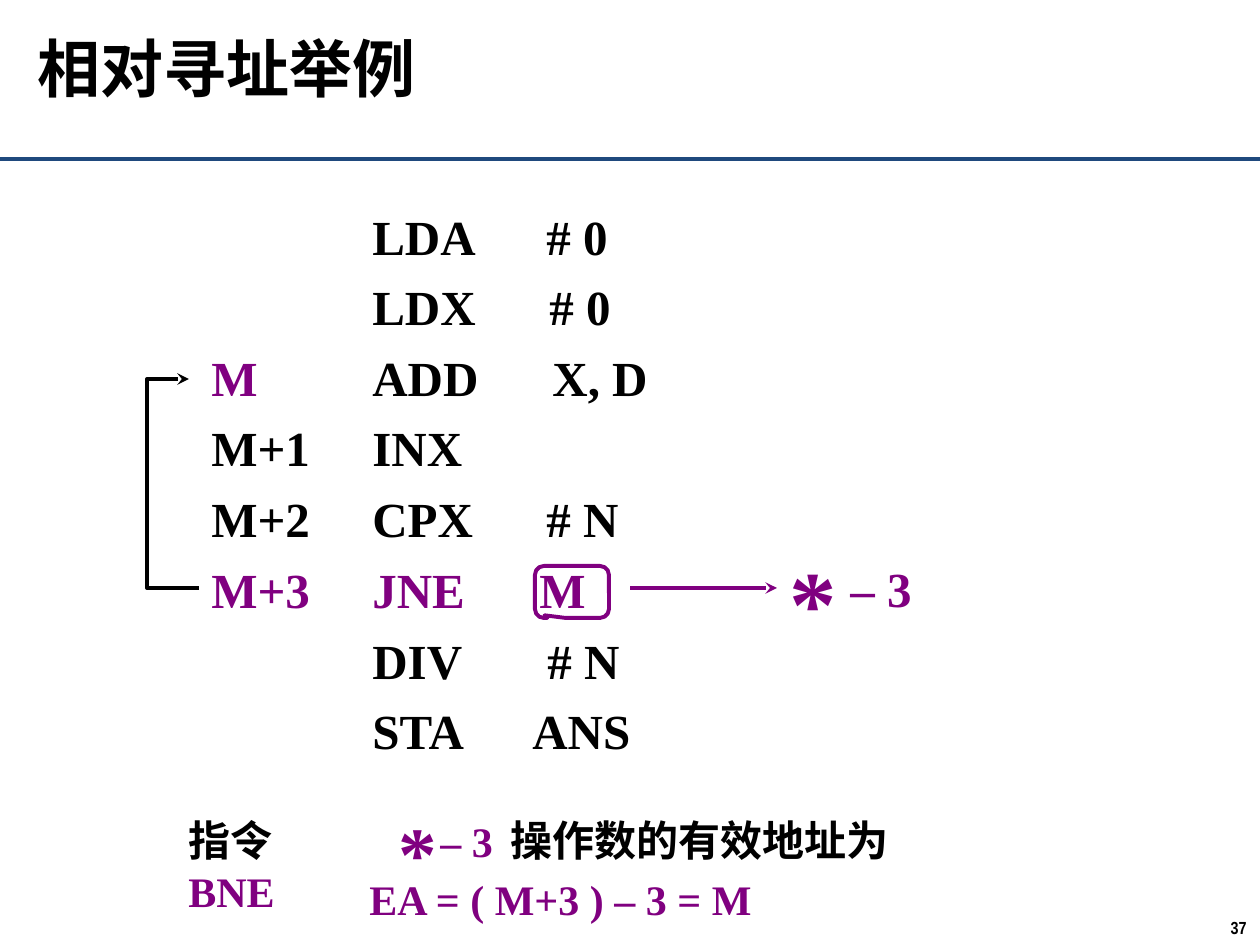
from lxml.etree import SubElement
from pptx import Presentation
from pptx.dml.color import RGBColor
from pptx.enum.shapes import MSO_CONNECTOR as Connector, MSO_SHAPE as Shape
from pptx.enum.text import MSO_ANCHOR as Anchor, MSO_AUTO_SIZE as AutoSize, PP_ALIGN as Align
from pptx.oxml.ns import qn
from pptx.util import Pt

SCALE = 914400 / 126
FONT = "Times New Roman"
BLACK = RGBColor(0x00, 0x00, 0x00)
PURPLE = RGBColor(0x80, 0x00, 0x80)
NAVY = RGBColor(0x1F, 0x49, 0x7D)
CODE_LEFT, CODE_WIDTH, LABEL_LEFT, INSET = 360, 310, 199, 13
PROGRAM = [
    ("", "LDA", "# 0", 547, BLACK, BLACK),
    ("", "LDX", "# 0", 550, BLACK, BLACK),
    ("M", "ADD", "X, D", 553, PURPLE, BLACK),
    ("M+1", "INX", "", 0, BLACK, BLACK),
    ("M+2", "CPX", "# N", 547, BLACK, BLACK),
    ("M+3", "JNE", "M", 540, PURPLE, PURPLE),
    ("", "DIV", "# N", 548, BLACK, BLACK),
    ("", "STA", "ANS", 533, BLACK, BLACK),
]


def px(length):
    """Turn pixels into EMU."""
    return round(length * SCALE)


def add_span(para, text, size, color, font=FONT):
    """Append one bold run to a paragraph."""
    span = para.add_run()
    span.text = text
    span.font.name = font
    span.font.size = Pt(size)
    span.font.bold = True
    span.font.color.rgb = color


def add_text(page, area, spans, size, font=FONT, wrap=True, top_inset=6):
    """Add a text box of coloured runs and return its paragraph."""
    box = page.shapes.add_textbox(*map(px, area))
    frame = box.text_frame
    frame.word_wrap = wrap
    frame.margin_top = px(top_inset)
    para = frame.paragraphs[0]
    for text, color in spans:
        add_span(para, text, size, color, font)
    return para


def add_tab(para, position):
    """Set one left tab stop on a paragraph."""
    tabs = SubElement(para._p.get_or_add_pPr(), qn("a:tabLst"))
    SubElement(tabs, qn("a:tab"), pos=str(px(position)), algn="l")


def style_line(shape, color, width, arrow=False):
    """Colour a line and optionally end it with a stealth arrowhead."""
    shape.line.color.rgb = color
    shape.line.width = Pt(width)
    if arrow:
        SubElement(shape.line._get_or_add_ln(), qn("a:tailEnd"), type="stealth")


def add_line(page, start, end, color, width, arrow=False):
    """Add a straight connector without shadow."""
    line = page.shapes.add_connector(Connector.STRAIGHT, *map(px, start + end))
    style_line(line, color, width, arrow)
    SubElement(line._element.spPr, qn("a:effectLst"))


def add_title(page, text):
    """Place and format the title placeholder."""
    title = page.shapes.title
    title.left, title.top, title.width, title.height = map(px, (25, 0, 1201, 135))
    frame = title.text_frame
    frame.auto_size = AutoSize.NONE
    frame.vertical_anchor = Anchor.MIDDLE
    para = frame.paragraphs[0]
    para.alignment = Align.LEFT
    add_span(para, text, 36, BLACK)


def add_program(page):
    """Add the instruction rows with their address labels."""
    for index, (label, code, operand, left, label_color, color) in enumerate(PROGRAM):
        top = 200 + index * 495 // 7
        text = f"{code}\t{operand}" if operand else code
        para = add_text(page, (CODE_LEFT, top, CODE_WIDTH, 72), [(text, color)], 28)
        if operand:
            add_tab(para, left - CODE_LEFT - INSET)
        if label:
            add_text(page, (LABEL_LEFT, top, 130, 72), [(label, label_color)], 28)


def add_loop_arrow(page):
    """Draw the jump from M+3 back to M."""
    builder = page.shapes.build_freeform(199, 588, scale=SCALE)
    builder.add_line_segments([(147, 588), (147, 379), (189, 379)], close=False)
    loop = builder.convert_to_shape()
    loop.shadow.inherit = False
    loop.fill.background()
    style_line(loop, BLACK, 2.25, arrow=True)


def add_callout(page):
    """Frame the jump operand."""
    callout = page.shapes.add_shape(Shape.ROUNDED_RECTANGULAR_CALLOUT, *map(px, (535, 566, 74, 52)))
    for index, value in enumerate((-0.37, 0.45, 0.17)):
        callout.adjustments[index] = value
    callout.shadow.inherit = False
    callout.fill.background()
    style_line(callout, PURPLE, 2.25)


def add_offset(page, star_area, star_size, offset_area, offset_size):
    """Add the relative address made of a large star and its offset."""
    add_text(page, offset_area, [("– 3", PURPLE)], offset_size, top_inset=11)
    add_text(page, star_area, [("*", PURPLE)], star_size)


def main():
    """Build the slide and save it."""
    deck = Presentation()
    deck.slide_width, deck.slide_height = px(1260), px(945)
    page = deck.slides.add_slide(deck.slide_layouts[5])
    add_line(page, (0, 159), (1260, 159), NAVY, 2)
    add_title(page, "相对寻址举例")
    number = add_text(page, (1217, 911, 43, 34), [("37", BLACK)], 10, "Arial Narrow", wrap=False)
    number.alignment = Align.CENTER

    add_program(page)
    add_loop_arrow(page)
    add_callout(page)
    add_line(page, (630, 588), (777, 588), PURPLE, 2.25, arrow=True)
    add_offset(page, (777, 537, 95, 126), 54, (838, 548, 87, 77), 28)

    add_text(page, (176, 809, 195, 63), [("指令 ", BLACK), ("BNE", PURPLE)], 24)
    add_offset(page, (386, 798, 95, 105), 44, (428, 804, 87, 68), 24)
    add_text(page, (498, 809, 406, 63), [("操作数的有效地址为", BLACK)], 24)
    add_text(page, (357, 868, 410, 63), [("EA = ( M+3 ) – 3 = M", PURPLE)], 24, wrap=False)
    deck.save("out.pptx")


if __name__ == "__main__":
    main()
